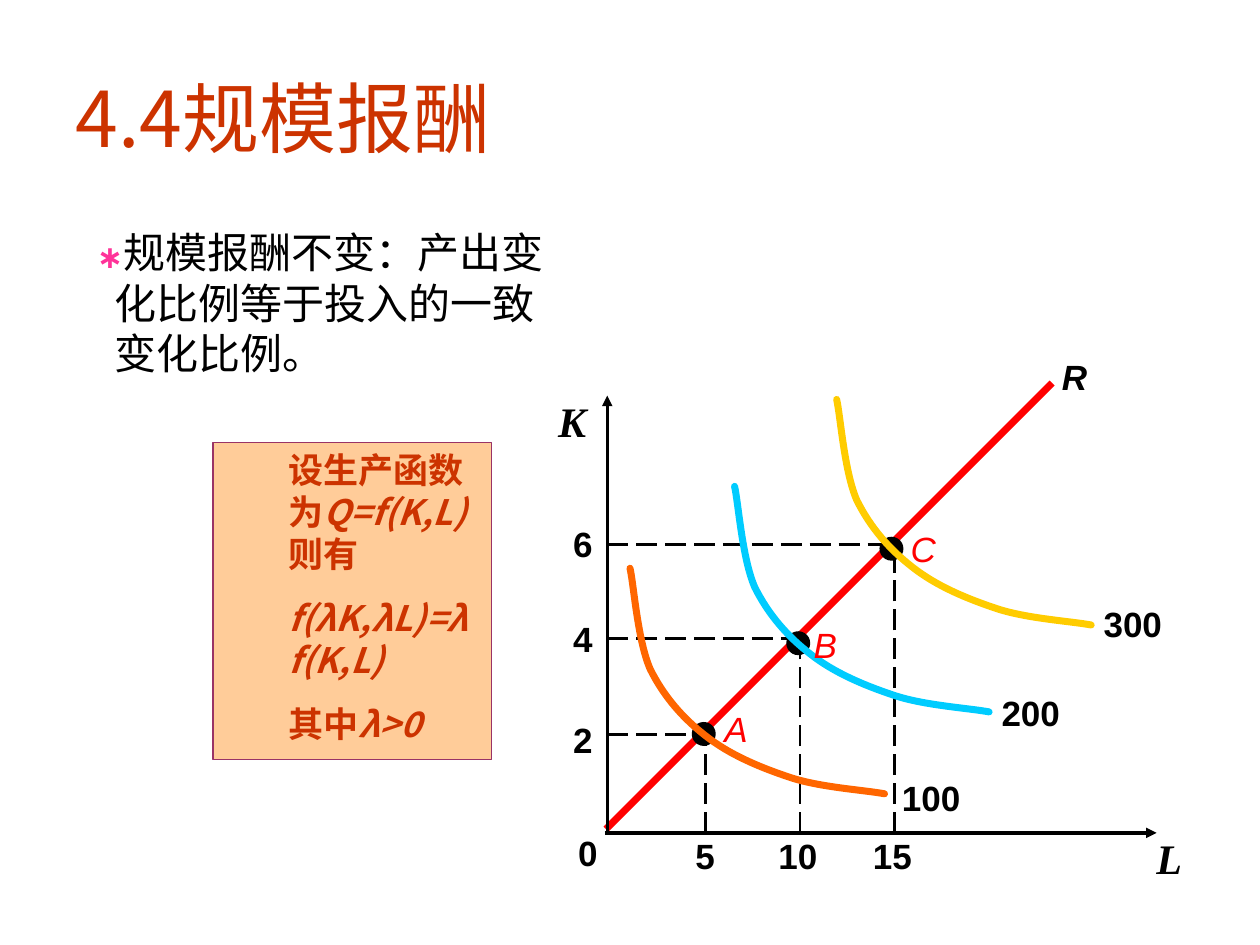
from dataclasses import dataclass
from lxml.etree import SubElement
from pptx import Presentation
from pptx.dml.color import RGBColor
from pptx.enum.dml import MSO_LINE
from pptx.enum.shapes import MSO_CONNECTOR, MSO_SHAPE
from pptx.enum.text import MSO_ANCHOR, MSO_AUTO_SIZE, PP_ALIGN
from pptx.oxml.ns import qn
from pptx.util import Inches, Pt


@dataclass
class Theme:
    black: str = "000000"
    red: str = "FF0000"
    rust: str = "CC3300"
    pink: str = "FF3399"
    peach: str = "FFCC99"
    plum: str = "993366"
    orange: str = "FF6600"
    blue: str = "00CCFF"
    gold: str = "FFCC00"
    title: int = 44
    body: int = 24
    label: int = 20
    star: int = 18
    sans: str = "Arial"
    serif: str = "Times New Roman"
    han: str = "Noto Sans CJK SC"


theme = Theme()


def write(para, text, color, size, name, **style):
    run = para.add_run()
    run.text = text
    style = {"bold": False, "italic": False, "size": Pt(size), "name": name} | style
    for key, value in style.items():
        setattr(run.font, key, value)
    run.font.color.rgb = RGBColor.from_string(color)
    SubElement(run._r.get_or_add_rPr(), qn("a:ea"), typeface=theme.han)


def draw(start, end, color, width, dash=None, arrow=False):
    line = slide.shapes.add_connector(
        MSO_CONNECTOR.STRAIGHT, *[Inches(v) for v in start + end])
    line.line.color.rgb = RGBColor.from_string(color)
    line.line.width = Pt(width)
    if dash:
        line.line.dash_style = dash
    if arrow:
        SubElement(line._element.spPr.find(qn("a:ln")), qn("a:tailEnd"), type="triangle")
    SubElement(line._element.spPr, qn("a:effectLst"))


deck = Presentation()
deck.slide_width, deck.slide_height = Inches(10), Inches(7.5)
slide = deck.slides.add_slide(deck.slide_layouts[5])

title = slide.shapes.title
place = {"left": 0.5, "top": 0.3, "width": 9, "height": 1.25}
for key, value in place.items():
    setattr(title, key, Inches(value))
title.text_frame.vertical_anchor = MSO_ANCHOR.MIDDLE
para = title.text_frame.paragraphs[0]
para.alignment = PP_ALIGN.LEFT
write(para, "4.4规模报酬", theme.rust, theme.title, theme.han)

body = slide.shapes.add_textbox(Inches(0), Inches(1.75), Inches(4.45), Inches(4.95))
body.text_frame.word_wrap = True
para = body.text_frame.paragraphs[0]
props = para._p.get_or_add_pPr()
props.set("marL", str(Inches(0.81)))
props.set("indent", str(Inches(-0.14)))
write(para, "∗", theme.pink, theme.star, theme.han, bold=True)
write(para, "规模报酬不变：产出变化比例等于投入的一致变化比例。",
      theme.black, theme.body, theme.sans)

left, base = 4.82, 6.61
draw((4.81, 6.58), (8.35, 3.04), theme.red, 4)
points = [(5.6, 5.83, 5.85), (6.35, 5.07, 5.07), (7.1, 4.32, 4.39)]
for x, y, top in points:
    draw((left, y), (x - 0.05, y), theme.black, 1.5, MSO_LINE.LONG_DASH)
    draw((x, base), (x, top), theme.black, 1.5, MSO_LINE.LONG_DASH)
for x, y in [(5.49, 5.73), (6.24, 5.01), (6.98, 4.26)]:
    dot = slide.shapes.add_shape(
        MSO_SHAPE.OVAL, Inches(x), Inches(y), Inches(0.19), Inches(0.19))
    dot.shadow.inherit = False
    dot.fill.solid()
    dot.fill.fore_color.rgb = RGBColor.from_string(theme.black)
    dot.line.fill.background()
draw((left, base), (left, 3.14), theme.black, 2, arrow=True)
draw((4.8, base), (9.18, base), theme.black, 2, arrow=True)

trace = [
    (0.03, 0.13), (0.06, 0.57), (0.16, 0.8),
    (0.27, 1.02), (0.42, 1.19), (0.6, 1.33),
    (0.79, 1.48), (1.03, 1.58), (1.27, 1.66),
    (1.51, 1.74), (1.86, 1.76), (2.02, 1.79),
]
curves = [(5, 4.51, theme.orange), (5.83, 3.86, theme.blue), (6.64, 3.17, theme.gold)]
for x, y, color in curves:
    pen = slide.shapes.build_freeform(Inches(x), Inches(y))
    pen.add_line_segments([(Inches(x + a), Inches(y + b)) for a, b in trace], close=False)
    curve = pen.convert_to_shape()
    curve.shadow.inherit = False
    curve.fill.background()
    curve.line.color.rgb = RGBColor.from_string(color)
    curve.line.width = Pt(4)
    edge = curve._element.spPr.find(qn("a:ln"))
    edge.set("cap", "rnd")
    SubElement(edge, qn("a:round"))
    legs = list(curve._element.iter(qn("a:lnTo")))
    route = legs[0].getparent()
    for first in range(0, len(legs), 3):
        bend = SubElement(route, qn("a:cubicBezTo"))
        for leg in legs[first:first + 3]:
            bend.append(leg[0])
            route.remove(leg)

plain = {"color": theme.black, "size": theme.label, "name": theme.sans, "bold": True}
slant = plain | {"italic": True}
mark = slant | {"color": theme.red, "bold": False}
axis = slant | {"size": theme.body, "name": theme.serif}
labels = [
    ("R", 8.33, 2.77, 0.4, 0.43, slant),
    ("K", 4.33, 3.09, 0.42, 0.5, axis),
    ("L", 9.08, 6.56, 0.4, 0.5, axis),
    ("0", 4.49, 6.55, 0.35, 0.43, plain),
    ("5", 5.42, 6.57, 0.35, 0.43, plain),
    ("10", 6.08, 6.57, 0.51, 0.43, plain),
    ("15", 6.83, 6.57, 0.51, 0.43, plain),
    ("2", 4.45, 5.65, 0.35, 0.43, plain),
    ("4", 4.45, 4.85, 0.35, 0.43, plain),
    ("6", 4.45, 4.1, 0.35, 0.43, plain),
    ("100", 7.06, 6.11, 0.68, 0.43, plain),
    ("200", 7.85, 5.44, 0.68, 0.43, plain),
    ("300", 8.66, 4.73, 0.68, 0.43, plain),
    ("A", 5.65, 5.5, 0.38, 0.5, mark),
    ("B", 6.36, 4.83, 0.38, 0.5, mark),
    ("C", 7.13, 4.07, 0.4, 0.5, mark),
]
for text, x, y, width, height, style in labels:
    box = slide.shapes.add_textbox(*[Inches(v) for v in (x, y, width, height)])
    box.text_frame.word_wrap = False
    box.text_frame.auto_size = MSO_AUTO_SIZE.SHAPE_TO_FIT_TEXT
    para = box.text_frame.paragraphs[0]
    if style is mark:
        para.line_spacing = 1.2
    if text == "K":
        para.alignment = PP_ALIGN.RIGHT
    write(para, text, **style)

panel = slide.shapes.add_shape(
    MSO_SHAPE.RECTANGLE, Inches(1.69), Inches(3.51), Inches(2.21), Inches(2.52))
panel.shadow.inherit = False
panel.fill.solid()
panel.fill.fore_color.rgb = RGBColor.from_string(theme.peach)
panel.line.color.rgb = RGBColor.from_string(theme.plum)
panel.line.width = Pt(0.75)
frame = panel.text_frame
frame.word_wrap = True
frame.vertical_anchor = MSO_ANCHOR.TOP
rows = [
    [("设生产函数为", False), ("Q=f(K,L)", True), ("则有", False)],
    [("f(λK,λL)=λf(K,L)", True)],
    [("其中", False), ("λ>0", True)],
]
for order, row in enumerate(rows):
    para = frame.add_paragraph() if order else frame.paragraphs[0]
    para.alignment = PP_ALIGN.LEFT
    para.space_before = Pt(12.5 if order else 0)
    props = para._p.get_or_add_pPr()
    props.set("marL", str(Inches(0.5)))
    props.set("indent", "0")
    for text, italic in row:
        write(para, text, theme.rust, theme.label, theme.han, bold=True, italic=italic)

deck.save("out.pptx")
